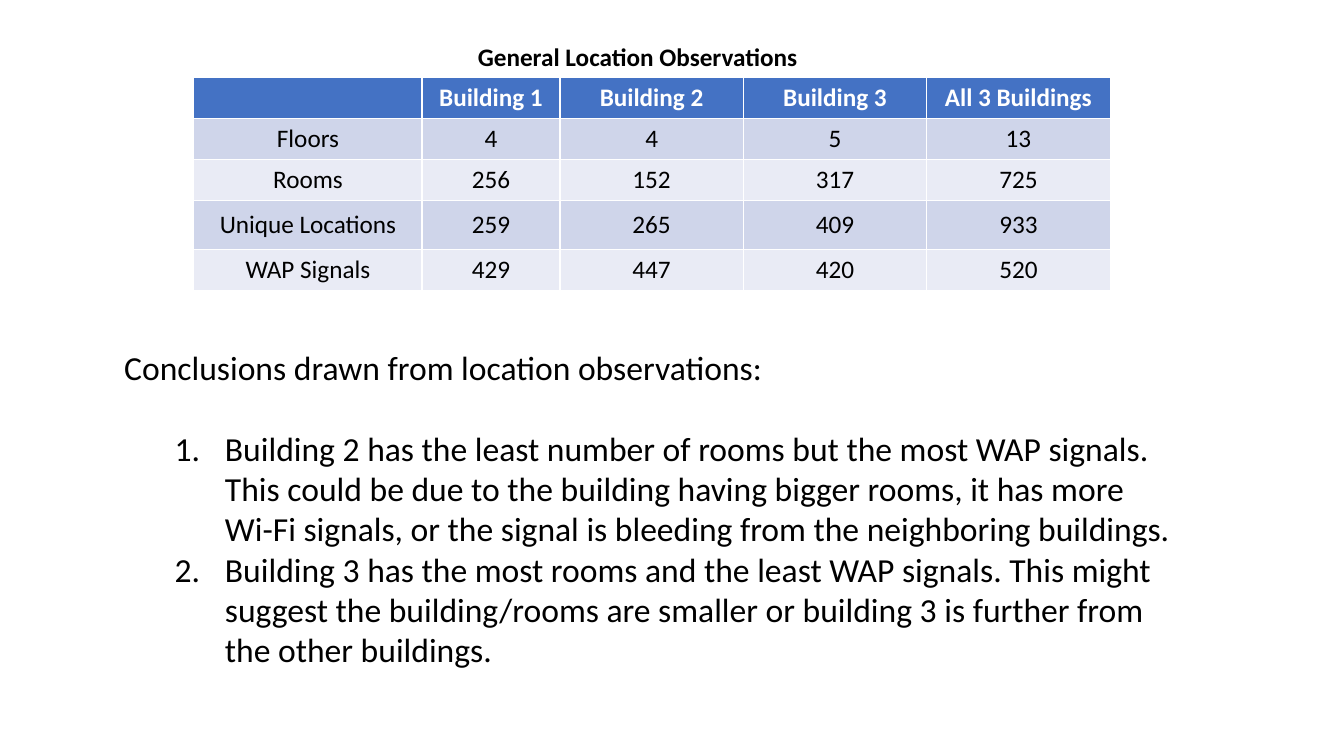
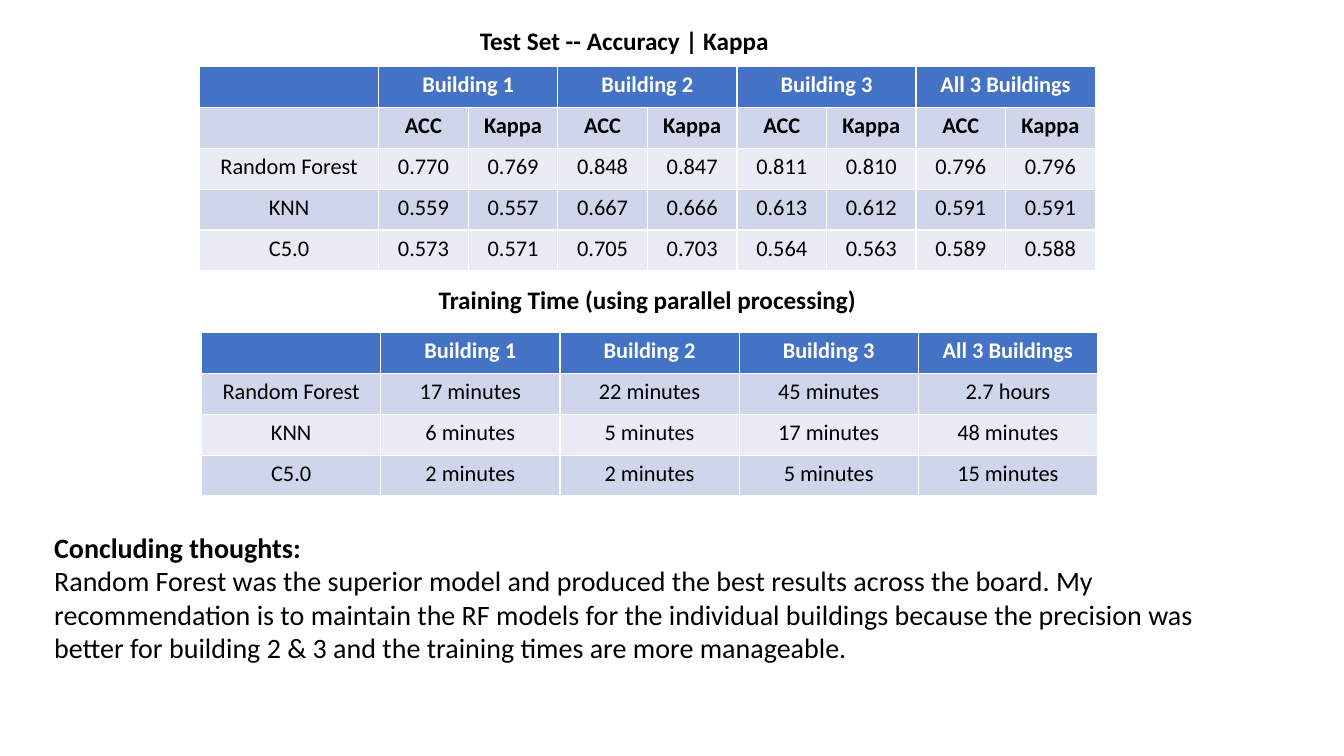
from lxml.etree import SubElement
from pptx import Presentation
from pptx.dml.color import RGBColor
from pptx.enum.text import MSO_ANCHOR, MSO_AUTO_SIZE, PP_ALIGN
from pptx.oxml.ns import qn
from pptx.util import Pt

BLACK, WHITE, HEADER_BLUE = "000000", "FFFFFF", "4472C4"
BANDS = ["E9EBF5", "CFD5EA"]
BUILDINGS = ["", "Building 1", "Building 2", "Building 3", "All 3 Buildings"]
ROW_HEIGHT = 29.2
HEADING = {"size": 18, "bold": True, "align": PP_ALIGN.CENTER}


def fill_text(frame, paragraphs):
    """Write (text, format) pairs; "numbered" marks a list item."""
    frame.word_wrap = True
    frame.auto_size = MSO_AUTO_SIZE.SHAPE_TO_FIT_TEXT
    for index, (text, style) in enumerate(paragraphs):
        para = frame.add_paragraph() if index else frame.paragraphs[0]
        numbered = style.get("numbered", False)
        layout = {"level": int(numbered), "alignment": style.get("align", PP_ALIGN.LEFT),
                  "space_before": Pt(0), "space_after": Pt(style.get("after", 0))}
        for name, value in layout.items():
            setattr(para, name, value)
        properties = para._p.get_or_add_pPr()
        properties.set("marL", str(Pt(72 if numbered else 0)))
        properties.set("indent", str(Pt(-36 if numbered else 0)))
        if numbered:
            SubElement(properties, qn("a:buFont"), typeface="+mj-lt")
            SubElement(properties, qn("a:buAutoNum"), type="arabicPeriod")
        else:
            SubElement(properties, qn("a:buNone"))
        span = para.add_run()
        span.text = text
        font = {"name": "Calibri", "size": Pt(style["size"]), "bold": style.get("bold", False)}
        for name, value in font.items():
            setattr(span.font, name, value)
        span.font.color.rgb = RGBColor.from_string(BLACK)


def add_grid(page, left, top, widths, rows, size, anchor, bold_rows=1, heights=None):
    """Add a banded table whose building headings share the columns evenly."""
    heights = heights or [ROW_HEIGHT] * len(rows)
    table = page.shapes.add_table(len(rows), len(widths), Pt(left), Pt(top),
                                  Pt(sum(widths)), Pt(sum(heights))).table
    for column, width in zip(table.columns, widths):
        column.width = Pt(width)
    for line, height in zip(table.rows, heights):
        line.height = Pt(height)
    for row, texts in enumerate(rows):
        stride = (len(widths) - 1) // (len(texts) - 1)
        for index, text in enumerate(texts):
            column = 1 + (index - 1) * stride if index else 0
            cell = table.cell(row, column)
            if index and stride > 1:
                cell.merge(table.cell(row, column + stride - 1))
            cell.vertical_anchor = anchor
            cell.fill.solid()
            cell.fill.fore_color.rgb = RGBColor.from_string(BANDS[row % 2] if row else HEADER_BLUE)
            if not text:
                continue
            para = cell.text_frame.paragraphs[0]
            para.alignment = PP_ALIGN.CENTER
            span = para.add_run()
            span.text = text
            font = {"name": "Calibri", "size": Pt(size), "bold": row < bold_rows}
            for name, value in font.items():
                setattr(span.font, name, value)
            span.font.color.rgb = RGBColor.from_string(BLACK if row else WHITE)


deck = Presentation()
deck.slide_width, deck.slide_height = Pt(960), Pt(540)

# Title and body of each page: place (left, top, width, height) and paragraphs
contents = [
    {
        "title": ((284.5, 26, 342, 29), [("General Location Observations", HEADING)]),
        "body": ((81.5, 244, 767, 240), [
            ("Conclusions drawn from location observations:", {"size": 24, "after": 29}),
            ("Building 2 has the least number of rooms but the most WAP signals. This could be "
             "due to the building having bigger rooms, it has more Wi-Fi signals, or the signal "
             "is bleeding from the neighboring buildings.", {"size": 24, "numbered": True}),
            ("Building 3 has the most rooms and the least WAP signals. This might suggest the "
             "building/rooms are smaller or building 3 is further from the other buildings.",
             {"size": 24, "numbered": True}),
        ]),
    },
    {
        "title": ((275, 14.5, 342, 29), [("Test Set -- Accuracy | Kappa", HEADING)]),
        "body": ((31.5, 375, 864, 104.5), [
            ("Concluding thoughts:", {"size": 20, "bold": True}),
            ("Random Forest was the superior model and produced the best results across the "
             "board. My recommendation is to maintain the RF models for the individual buildings "
             "because the precision was better for building 2 & 3 and the training times are "
             "more manageable.", {"size": 20}),
        ]),
    },
]
pages = []
for content in contents:
    page = deck.slides.add_slide(deck.slide_layouts[1])
    pages.append(page)
    boxes = {"title": page.shapes.title, "body": page.placeholders[1]}
    for role, box in boxes.items():
        place, paragraphs = content[role]
        for name, value in zip(("left", "top", "width", "height"), place):
            setattr(box, name, Pt(value))
        fill_text(box.text_frame, paragraphs)
locations_page, results_page = pages

# Location counts
add_grid(locations_page, 138.5, 55.5, [163, 98.5, 131, 131, 131], [
    BUILDINGS,
    ["Floors", "4", "4", "5", "13"],
    ["Rooms", "256", "152", "317", "725"],
    ["Unique Locations", "259", "265", "409", "933"],
    ["WAP Signals", "429", "447", "420", "520"],
], 18, MSO_ANCHOR.MIDDLE, heights=[ROW_HEIGHT] * 3 + [35, ROW_HEIGHT])

# Accuracy and training time
add_grid(results_page, 142.5, 47.5, [128] + [64] * 8, [
    BUILDINGS,
    [""] + ["ACC", "Kappa"] * 4,
    ["Random Forest", "0.770", "0.769", "0.848", "0.847", "0.811", "0.810", "0.796", "0.796"],
    ["KNN", "0.559", "0.557", "0.667", "0.666", "0.613", "0.612", "0.591", "0.591"],
    ["C5.0", "0.573", "0.571", "0.705", "0.703", "0.564", "0.563", "0.589", "0.588"],
], 16, MSO_ANCHOR.TOP, bold_rows=2)

time_heading = results_page.shapes.add_textbox(Pt(291.5), Pt(199.5), Pt(342), Pt(29))
fill_text(time_heading.text_frame, [("Training Time (using parallel processing)", HEADING)])
add_grid(results_page, 144, 237.5, [128] * 5, [
    BUILDINGS,
    ["Random Forest", "17 minutes", "22 minutes", "45 minutes", "2.7 hours"],
    ["KNN", "6 minutes", "5 minutes", "17 minutes", "48 minutes"],
    ["C5.0", "2 minutes", "2 minutes", "5 minutes", "15 minutes"],
], 16, MSO_ANCHOR.TOP)

deck.save("out.pptx")
